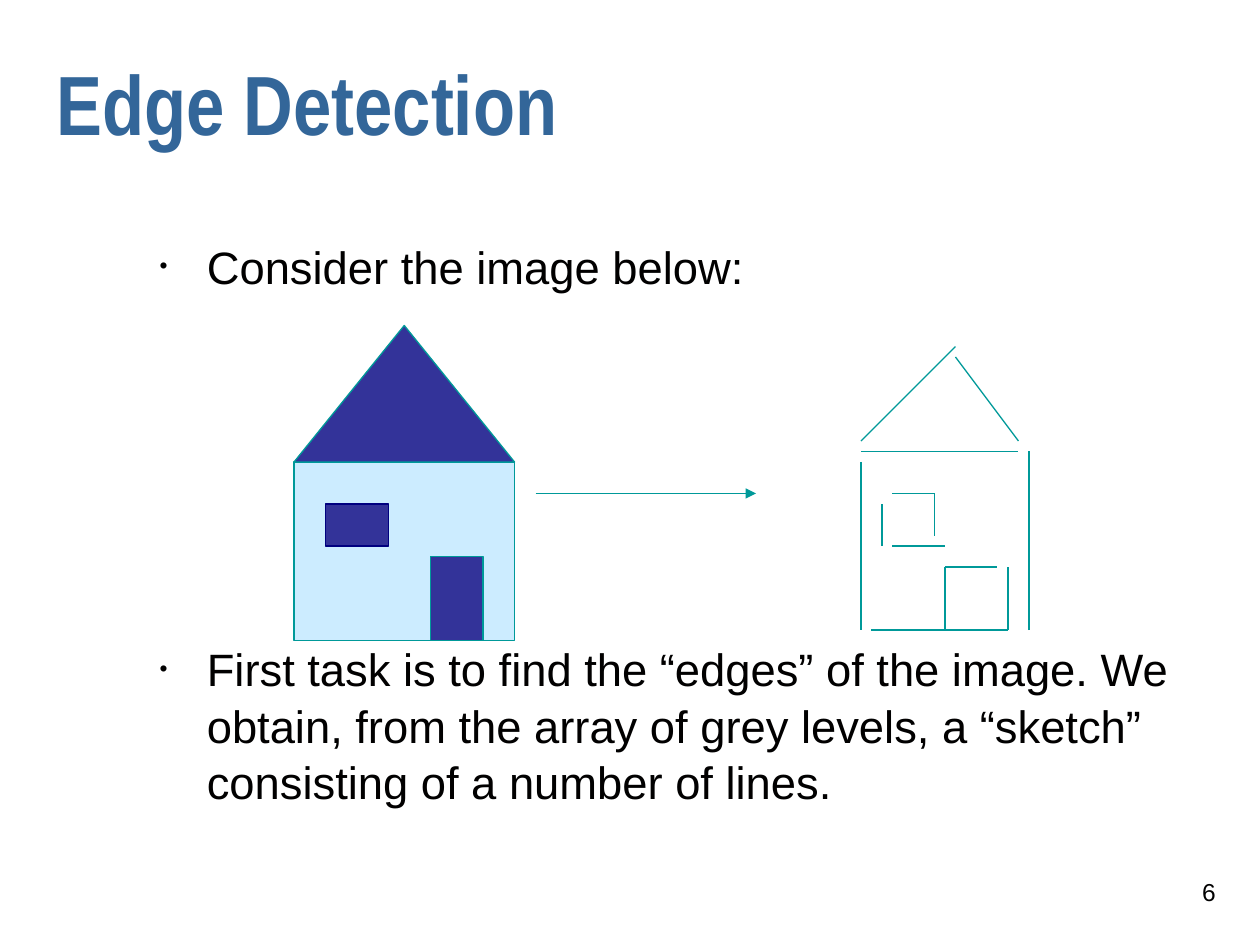
from lxml import etree
from pptx import Presentation
from pptx import util as u
from pptx.dml.color import RGBColor
from pptx.enum import shapes as sh, text as tx
from pptx.oxml.ns import qn

HUES = {"title": "336699", "ink": "010000", "teal": "009999",
        "navy": "000080", "wall": "CCECFF", "dark": "333399"}
UNIT = 2.54 / 12  # the drawing sits on a grid of twelfths of an inch


def hue(name):
    return RGBColor.from_string(HUES[name])


def write(box, lines, anchor, look, form):
    """Add a text box; look goes to each font, form to each paragraph."""
    frame = slide.shapes.add_textbox(*map(u.Cm, box)).text_frame
    frame.word_wrap = True
    frame.vertical_anchor = anchor
    frame.text = "\n".join(lines)
    for para in frame.paragraphs:
        for key, val in form.items():
            setattr(para, key, val)
        font = para.runs[0].font
        for key, val in look.items():
            if key == "color":
                font.color.rgb = hue(val)
            else:
                setattr(font, key, val)
    return frame.paragraphs


deck = Presentation()
deck.slide_width, deck.slide_height = u.Cm(25.4), u.Cm(19.05)
slide = deck.slides.add_slide(deck.slide_layouts[6])

# Title
write((0.89, 0.71, 21.79, 3.18), ["Edge Detection"], tx.MSO_ANCHOR.MIDDLE,
      {"name": "Arial Narrow", "size": u.Pt(48), "bold": True, "color": "title"},
      {"line_spacing": 0.7})

# Bullets, with room for the drawing between them
points = write(
    (2.97, 4.65, 21.59, 11.43),
    ["Consider the image below:",
     "First task is to find the “edges” of the image. We obtain, from the array "
     "of grey levels, a “sketch” consisting of a number of lines."],
    tx.MSO_ANCHOR.TOP,
    {"name": "Arial", "size": u.Pt(25.9), "color": "ink"},
    {"line_spacing": 1.04})
points[1].space_before = u.Pt(197.5)
for para in points:
    props = para._p.get_or_add_pPr()
    props.set("marL", str(u.Cm(0.95)))
    props.set("indent", str(-u.Cm(0.95)))
    tint = etree.SubElement(props, qn("a:buClr"))
    etree.SubElement(tint, qn("a:srgbClr"), val=HUES["ink"])
    etree.SubElement(props, qn("a:buSzPct"), val="50000")
    etree.SubElement(props, qn("a:buFont"), typeface="Arial")
    etree.SubElement(props, qn("a:buChar"), char="•")

# House: wall, roof, window, door
rect, roof = sh.MSO_SHAPE.RECTANGLE, sh.MSO_SHAPE.ISOSCELES_TRIANGLE
for kind, box, fill, line in [
    (rect, (28, 44, 21, 17), "wall", "teal"),
    (roof, (28, 31, 21, 13), "dark", "teal"),
    (rect, (31, 48, 6, 4), "dark", "navy"),
    (rect, (41, 53, 5, 8), "dark", "teal"),
]:
    part = slide.shapes.add_shape(kind, *(u.Cm(n * UNIT) for n in box))
    part.shadow.inherit = False
    part.fill.solid()
    part.fill.fore_color.rgb = hue(fill)
    part.line.color.rgb = hue(line)
    part.line.width = u.Pt(0.75)

# Arrow first, then the edges of the sketch
arrow = (51, 47, 72, 47)
edges = [
    (82, 44, 82, 60), (83, 60, 96, 60), (98, 60, 98, 43), (82, 43, 97, 43),  # wall
    (82, 42, 91, 33), (91, 34, 97, 42),  # roof
    (85, 47, 89, 47), (84, 48, 84, 52), (85, 52, 90, 52), (89, 47, 89, 51),  # window
    (90, 54, 90, 60), (90, 54, 95, 54), (96, 54, 96, 60),  # door
]
for ends in [arrow] + edges:
    edge = slide.shapes.add_connector(
        sh.MSO_CONNECTOR.STRAIGHT, *(u.Cm(n * UNIT) for n in ends))
    edge.line.color.rgb = hue("teal")
    edge.line.width = u.Pt(0.75)
    if ends == arrow:
        etree.SubElement(edge.line._get_or_add_ln(), qn("a:tailEnd"),
                         type="triangle", w="med", len="med")
    etree.SubElement(edge._element.spPr, qn("a:effectLst"))

# Slide number
write((19.48, 17.35, 5.28, 1.27), ["6"], tx.MSO_ANCHOR.MIDDLE,
      {"name": "Arial", "size": u.Pt(14), "color": "ink"},
      {"alignment": tx.PP_ALIGN.RIGHT})

deck.save("out.pptx")
